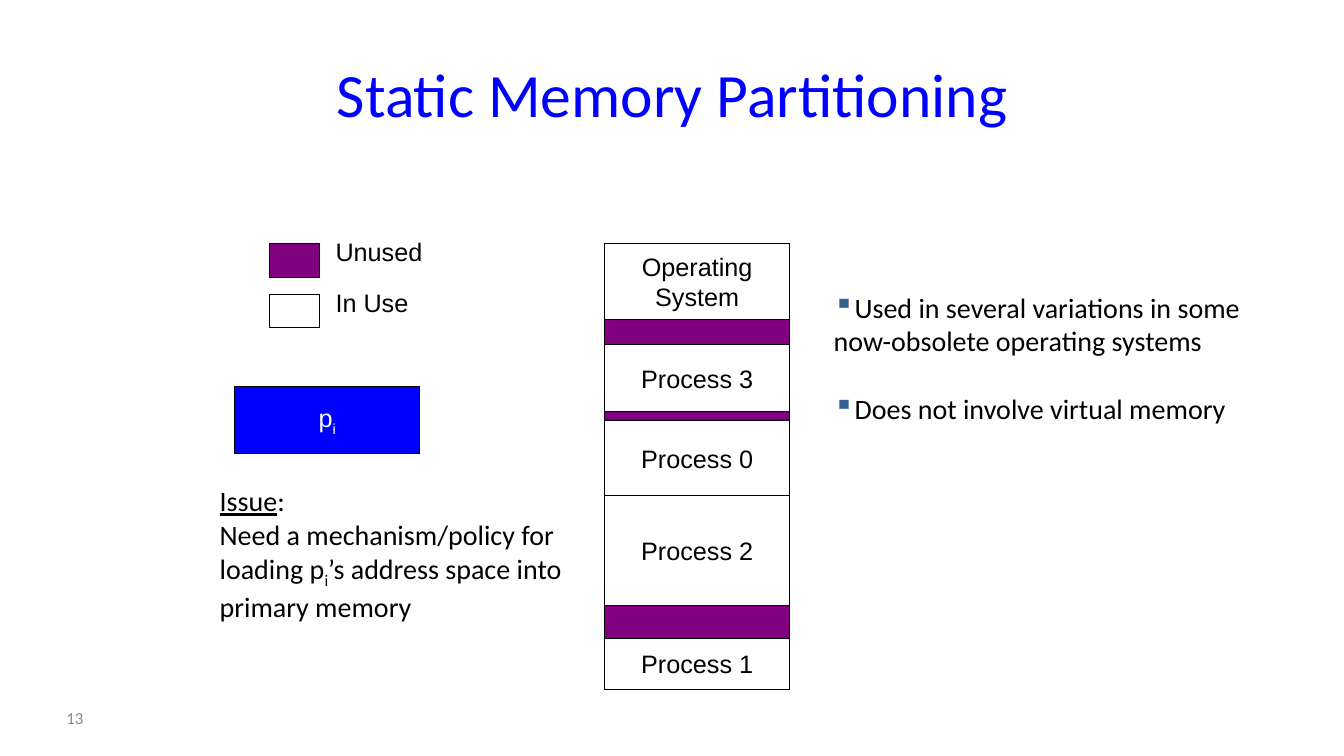
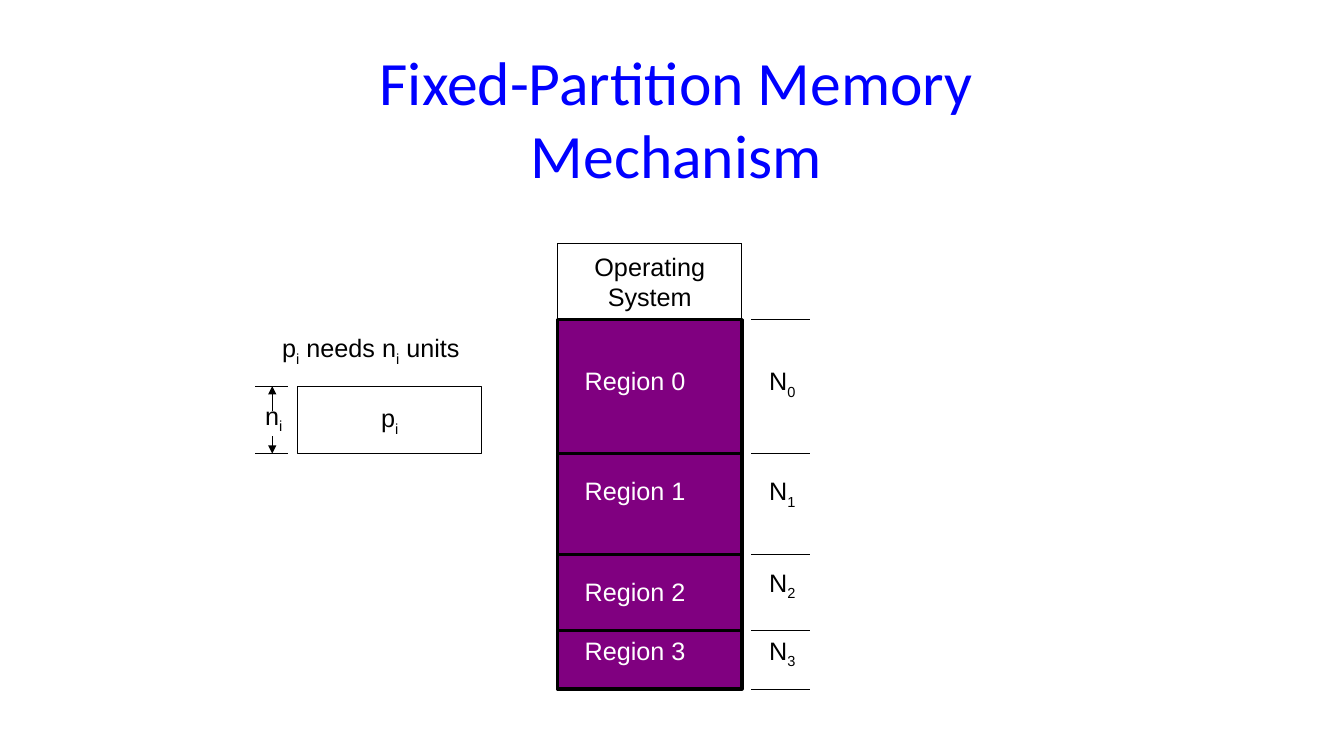
"""Build two slides on static and fixed-partition memory management."""
from dataclasses import dataclass
from itertools import accumulate
from typing import NamedTuple

from lxml.etree import SubElement
from pptx import Presentation
from pptx.dml.color import RGBColor
from pptx.enum.shapes import MSO_CONNECTOR as Connector, MSO_SHAPE as Preset
from pptx.enum.text import MSO_ANCHOR as Anchor, MSO_AUTO_SIZE as AutoSize, PP_ALIGN as Align
from pptx.oxml.ns import qn
from pptx.util import Inches, Pt

COLORS = {
    "title": "0000FF",
    "process": "0000FF",
    "unused": "800080",
    "used": "FFFFFF",
    "ink": "000000",
    "light": "FFFFFF",
    "bullet": "376092",
    "number": "898989",
}
THIN, THICK = 0.75, 2.25
GRID = 1 / 12
COLUMN_TOP, COLUMN_WIDTH, COLUMN_UNITS, SYSTEM_UNITS = 2.42, 1.83, 53, 9
LABEL_HEIGHT = 0.4


class Box(NamedTuple):
    left: float
    top: float
    width: float
    height: float

    def lengths(self):
        return [Inches(value) for value in self]


class Piece(NamedTuple):
    text: str
    subscript: bool = False
    underline: bool = False


@dataclass(frozen=True)
class TextStyle:
    font: str = "Arial"
    size: float = 18
    color: str = "ink"
    align: Align = Align.LEFT
    anchor: Anchor = Anchor.TOP
    wrap: bool = False
    fit: bool = True
    gap: float = 0


class Block(NamedTuple):
    units: int
    name: str = ""


class Region(NamedTuple):
    units: int
    name_top: float
    size_top: float


LABEL = TextStyle()
REGION_LABEL = TextStyle(color="light")
BOXED = TextStyle(align=Align.CENTER, anchor=Anchor.MIDDLE, fit=False)
BOXED_LIGHT = TextStyle(color="light", align=Align.CENTER, anchor=Anchor.MIDDLE, fit=False)
TITLE = TextStyle("Calibri", 44, "title", Align.CENTER, Anchor.MIDDLE, True, False)
NOTE = TextStyle("Calibri", 20, wrap=True)
BULLETS = TextStyle("Calibri", 20, wrap=True, fit=False, gap=24)
NUMBER = TextStyle("Calibri", 12, "number", anchor=Anchor.MIDDLE, wrap=True, fit=False)

BLOCKS = [
    Block(3), Block(8, "Process 3"), Block(1), Block(9, "Process 0"),
    Block(13, "Process 2"), Block(4), Block(6, "Process 1"),
]
LEGEND = [("Unused", "unused", 1.07), ("In Use", "used", 0.93)]
REGIONS = [
    Region(16, 3.58, 3.58), Region(12, 4.67, 4.67),
    Region(9, 5.67, 5.58), Region(7, 6.25, 6.25),
]


def rgb(name: str) -> RGBColor:
    return RGBColor.from_string(COLORS[name])


def assign(target, values: dict) -> None:
    for name, value in values.items():
        setattr(target, name, value)


def pieces(text: str) -> list[Piece]:
    return [Piece(part, index % 2 == 1) for index, part in enumerate(text.split("~")) if part]


def write(shape, paragraphs: list, style: TextStyle) -> None:
    frame = shape.text_frame
    assign(frame, {
        "word_wrap": style.wrap,
        "vertical_anchor": style.anchor,
        "auto_size": AutoSize.SHAPE_TO_FIT_TEXT if style.fit else AutoSize.NONE,
    })
    for index, content in enumerate(paragraphs):
        paragraph = frame.add_paragraph() if index else frame.paragraphs[0]
        assign(paragraph, {"alignment": style.align, "space_before": Pt(style.gap if index else 0)})
        for piece in pieces(content) if isinstance(content, str) else content:
            run = paragraph.add_run()
            run.text = piece.text
            assign(run.font, {"name": style.font, "size": Pt(style.size)})
            run.font.color.rgb = rgb(style.color)
            if piece.underline:
                run.font.underline = True
            if piece.subscript:
                run._r.get_or_add_rPr().set("baseline", "-25000")


def add_text(slide, box: Box, paragraphs: list, style: TextStyle = LABEL):
    shape = slide.shapes.add_textbox(*box.lengths())
    write(shape, paragraphs, style)
    return shape


def add_bullets(slide, box: Box, items: list[str]) -> None:
    shape = add_text(slide, box, items, BULLETS)
    for paragraph in shape.text_frame.paragraphs:
        properties = paragraph._p.get_or_add_pPr()
        assign_indent = {"marL": 0, "indent": Inches(-0.32)}
        for name, value in assign_indent.items():
            properties.set(name, str(value))
        color = SubElement(properties, qn("a:buClr"))
        SubElement(color, qn("a:srgbClr")).set("val", COLORS["bullet"])
        SubElement(properties, qn("a:buChar")).set("char", "▪")


def add_box(slide, box: Box, fill: str = "", line: float = THIN,
            paragraphs: list | None = None, style: TextStyle = BOXED) -> None:
    shape = slide.shapes.add_shape(Preset.RECTANGLE, *box.lengths())
    shape.shadow.inherit = False
    if fill:
        shape.fill.solid()
        shape.fill.fore_color.rgb = rgb(fill)
    else:
        shape.fill.background()
    shape.line.color.rgb = rgb("ink")
    shape.line.width = Pt(line)
    if paragraphs:
        write(shape, paragraphs, style)


def add_line(slide, start: tuple[float, float], end: tuple[float, float], arrow: bool = False) -> None:
    points = [Inches(value) for value in (*start, *end)]
    connector = slide.shapes.add_connector(Connector.STRAIGHT, *points)
    connector.line.color.rgb = rgb("ink")
    connector.line.width = Pt(THIN)
    if arrow:
        SubElement(connector.line._get_or_add_ln(), qn("a:tailEnd")).set("type", "triangle")
    SubElement(connector._element.spPr, qn("a:effectLst"))


def add_slide(presentation, title: str, box: Box):
    slide = presentation.slides.add_slide(presentation.slide_layouts[6])
    add_text(slide, box, [title], TITLE)
    return slide


def add_memory(slide, left: float) -> None:
    add_box(slide, Box(left, COLUMN_TOP, COLUMN_WIDTH, COLUMN_UNITS * GRID), "unused")
    add_box(slide, Box(left, COLUMN_TOP, COLUMN_WIDTH, SYSTEM_UNITS * GRID), "used",
            paragraphs=["Operating", "System"])


def edges(units: list[int]) -> list[float]:
    return [COLUMN_TOP + total * GRID for total in accumulate(units, initial=SYSTEM_UNITS)]


def build_static(presentation) -> None:
    slide = add_slide(presentation, "Static Memory Partitioning", Box(0.67, 0.3, 12, 1.25))
    add_bullets(slide, Box(8.17, 2.83, 4.33, 2.92), [
        "Used in several variations in some now-obsolete operating systems",
        "Does not involve virtual memory",
    ])
    add_text(slide, Box(0.56, 6.92, 1.44, 0.4), ["13"], NUMBER)
    add_memory(slide, 6)
    for block, top in zip(BLOCKS, edges([block.units for block in BLOCKS])):
        if block.name:
            add_box(slide, Box(6, top, COLUMN_WIDTH, block.units * GRID), "used",
                    paragraphs=[block.name])
    for index, (name, fill, width) in enumerate(LEGEND):
        top = COLUMN_TOP + index * 0.5
        add_box(slide, Box(2.67, top, 0.5, 0.33), fill)
        add_text(slide, Box(3.23, top - 0.12, width, LABEL_HEIGHT), [name])
    add_text(slide, Box(2.08, 4.75, 3.77, 1.45), [
        [Piece("Issue", underline=True), Piece(":")],
        "Need a mechanism/policy for loading p~i~’s address space into primary memory",
    ], NOTE)
    add_box(slide, Box(2.33, 3.83, COLUMN_WIDTH, 0.67), "process",
            paragraphs=["p~i~"], style=BOXED_LIGHT)


def build_fixed(presentation) -> None:
    slide = add_slide(presentation, "Fixed-Partition Memory Mechanism", Box(2.21, 0.33, 9, 1.67))
    add_memory(slide, 5.53)
    boundaries = edges([region.units for region in REGIONS])
    for index, (region, top) in enumerate(zip(REGIONS, boundaries)):
        add_box(slide, Box(5.53, top, COLUMN_WIDTH, region.units * GRID), line=THICK)
        add_text(slide, Box(5.7, region.name_top, 1.21, LABEL_HEIGHT),
                 [f"Region {index}"], REGION_LABEL)
        add_text(slide, Box(7.53, region.size_top, 0.48, LABEL_HEIGHT), [f"N~{index}~"])
    for boundary in boundaries:
        add_line(slide, (7.45, boundary), (8.03, boundary))
    add_box(slide, Box(2.95, 3.83, COLUMN_WIDTH, 0.67), "used", paragraphs=["p~i~"])
    add_text(slide, Box(2.7, 3.25, 1.99, LABEL_HEIGHT), ["p~i~ needs n~i~ units"])
    add_text(slide, Box(2.53, 3.92, 0.38, LABEL_HEIGHT), ["n~i~"])
    for start, end in ((4.08, 3.83), (4.33, 4.5)):
        add_line(slide, (2.53, end), (2.86, end))
        add_line(slide, (2.7, start), (2.7, end), arrow=True)


def main() -> None:
    presentation = Presentation()
    assign(presentation, {"slide_width": Inches(13.33), "slide_height": Inches(7.5)})
    build_static(presentation)
    build_fixed(presentation)
    presentation.save("out.pptx")


if __name__ == "__main__":
    main()
